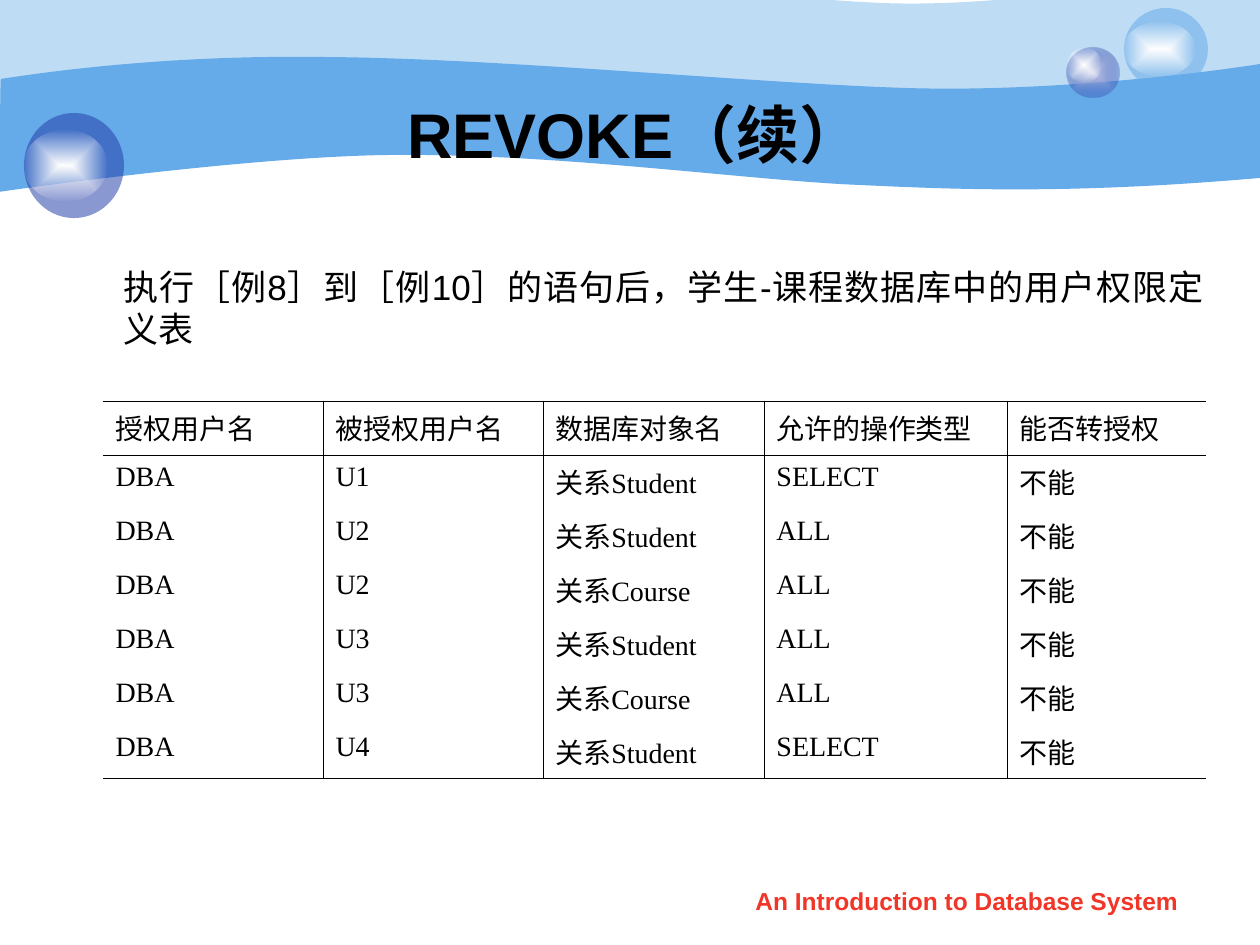
from lxml import etree
from pptx import Presentation
from pptx.dml.color import RGBColor
from pptx.enum.shapes import MSO_SHAPE
from pptx.enum.text import MSO_ANCHOR, PP_ALIGN
from pptx.oxml import parse_xml
from pptx.oxml.ns import nsdecls, qn
from pptx.util import Pt

EMU_PER_PX = 914400 / 126
BORDER_EMU = 5715
COLORS = {
    "sky": "65AAE9", "navy": "233DA9", "mist": "C6CCE8", "white": "FFFFFF",
    "sheen_edge": "FEFEFE", "black": "000000", "red": "F03628",
}
COLUMN_WIDTHS = [220, 220, 221, 243, 199]
ROWS = [
    ["授权用户名", "被授权用户名", "数据库对象名", "允许的操作类型", "能否转授权"],
    ["DBA", "U1", "关系Student", "SELECT", "不能"],
    ["DBA", "U2", "关系Student", "ALL", "不能"],
    ["DBA", "U2", "关系Course", "ALL", "不能"],
    ["DBA", "U3", "关系Student", "ALL", "不能"],
    ["DBA", "U3", "关系Course", "ALL", "不能"],
    ["DBA", "U4", "关系Student", "SELECT", "不能"],
]
# Each edge is a start point followed by Bezier control points, three per curve.
# The last curve of the lower edge runs up the left side.
BACK_WAVE = (
    [(0, 24), (30, 20), (135, 9), (311, 10), (486, 10), (724, 49), (881, 56),
     (1036, 62), (1235, 19), (1260, 0)],
    [(1260, 169), (1079, 192), (992, 184), (888, 182), (784, 179), (649, 151),
     (432, 147), (217, 142), (5, 212), (1, 217), (-1, 223), (0, 56), (0, 24)],
)
FRONT_WAVE = (
    [(3, 24), (5, 24), (141, 0), (314, 2), (488, 2), (752, 28), (907, 33),
     (1062, 38), (1232, 14), (1262, 9)],
    [(1262, 123), (1077, 139), (966, 135), (861, 130), (757, 126), (565, 99),
     (401, 100), (258, 100), (-1, 137), (1, 137), (2, 137), (2, 24), (3, 24)],
)


def px(length):
    return round(length * EMU_PER_PX)


def rgb(name):
    return RGBColor.from_string(COLORS[name])


def bend_segments(shape, edges):
    """Turn each three line segments of an edge into one cubic Bezier curve."""
    outline = next(shape._element.iter(qn("a:path")))
    # The first segment list lacks the start point, which is the moveTo.
    segments = [None] + outline.findall(qn("a:lnTo"))
    start = 0
    for edge in edges:
        for first in range(start + 1, start + len(edge), 3):
            curve = etree.Element(qn("a:cubicBezTo"))
            segments[first].addprevious(curve)
            for segment in segments[first:first + 3]:
                curve.append(segment[0])
                outline.remove(segment)
        start += len(edge)


def fill_solid(shape, color, alpha=100):
    shape.shadow.inherit = False
    shape.line.fill.background()
    shape.fill.solid()
    shape.fill.fore_color.rgb = rgb(color)
    if alpha < 100:
        target = shape._element.spPr.find(qn("a:solidFill"))[0]
        etree.SubElement(target, qn("a:alpha")).set("val", str(alpha * 1000))


def fill_glow(shape, center, edge, edge_alpha):
    """Fill with a gradient that runs from the center out to the edge."""
    fill_solid(shape, center)
    properties = shape._element.spPr
    gradient = parse_xml(
        f'<a:gradFill {nsdecls("a")} rotWithShape="1"><a:gsLst>'
        f'<a:gs pos="0"><a:srgbClr val="{COLORS[center]}"/></a:gs>'
        f'<a:gs pos="100000"><a:srgbClr val="{COLORS[edge]}">'
        f'<a:alpha val="{edge_alpha * 1000}"/></a:srgbClr></a:gs></a:gsLst>'
        '<a:path path="rect"><a:fillToRect l="50000" t="50000" r="50000" b="50000"/>'
        '</a:path></a:gradFill>')
    properties.replace(properties.find(qn("a:solidFill")), gradient)


def add_wave(page, left, top, edges, alpha=100):
    points = [(px(x), px(y)) for edge in edges for x, y in edge]
    builder = page.shapes.build_freeform(*points[0], scale=1.0)
    builder.add_line_segments(points[1:], close=False)
    wave = builder.convert_to_shape(px(left), px(top))
    bend_segments(wave, edges)
    etree.SubElement(next(wave._element.iter(qn("a:path"))), qn("a:close"))
    fill_solid(wave, "sky", alpha)


def add_ellipse(page, left, top, width, height):
    return page.shapes.add_shape(
        MSO_SHAPE.OVAL, px(left), px(top), px(width), px(height))


def add_ball(page, left, top, width, height, sheen, color=None):
    """Draw a ball with a sheen given as (drop, width, height); no color means a glow."""
    ball = add_ellipse(page, left, top, width, height)
    if color:
        fill_solid(ball, color, 53)
    else:
        fill_glow(ball, "mist", "navy", 31)
    drop, sheen_width, sheen_height = sheen
    highlight = add_ellipse(page, left, top + drop, sheen_width, sheen_height)
    fill_glow(highlight, "white", "sheen_edge", 0)


def add_backdrop(page):
    add_wave(page, 0, -53, BACK_WAVE, 41)
    add_wave(page, -2, 55, FRONT_WAVE)
    add_ball(page, 1067, 48, 53, 50, (0, 35, 34))
    add_ball(page, 1124, 8, 84, 82, (14, 71, 54), "sky")
    add_ball(page, 24, 113, 100, 105, (17, 83, 71), "navy")


def style_paragraph(paragraph, size, font="Arial", color="black", bold=False):
    paragraph.font.size = Pt(size)
    paragraph.font.name = font
    paragraph.font.bold = bold
    paragraph.font.color.rgb = rgb(color)


def add_text(page, left, top, width, height, text, size, align=PP_ALIGN.CENTER,
             anchor=MSO_ANCHOR.TOP, **style):
    box = page.shapes.add_textbox(px(left), px(top), px(width), px(height))
    box.text_frame.word_wrap = True
    box.text_frame.vertical_anchor = anchor
    paragraph = box.text_frame.paragraphs[0]
    paragraph.text = text
    paragraph.alignment = align
    style_paragraph(paragraph, size, **style)
    return box


def add_intro(page, left, top, width, height):
    box = add_text(
        page, left, top, width, height,
        "执行［例8］到［例10］的语句后，学生-课程数据库中的用户权限定义表",
        20, PP_ALIGN.JUSTIFY)
    box.text_frame.margin_top = px(14)
    box.text_frame.paragraphs[0]._p.get_or_add_pPr().set("marL", str(px(48)))


def set_borders(cell, visible_sides):
    properties = cell._tc.get_or_add_tcPr()
    for side in "LRTB":
        line = etree.SubElement(properties, qn(f"a:ln{side}"), w=str(BORDER_EMU))
        if side in visible_sides:
            fill = etree.SubElement(line, qn("a:solidFill"))
            etree.SubElement(fill, qn("a:srgbClr"), val=COLORS["black"])
        else:
            etree.SubElement(line, qn("a:noFill"))


def add_rights_table(page, left, top, row_height):
    last_row, last_column = len(ROWS) - 1, len(COLUMN_WIDTHS) - 1
    table = page.shapes.add_table(
        len(ROWS), len(COLUMN_WIDTHS), px(left), px(top),
        px(sum(COLUMN_WIDTHS)), px(row_height * len(ROWS))).table
    table.first_row = table.horz_banding = False
    for column, width in zip(table.columns, COLUMN_WIDTHS):
        column.width = px(width)
    for r, values in enumerate(ROWS):
        table.rows[r].height = px(row_height)
        for c, value in enumerate(values):
            cell = table.cell(r, c)
            cell.text = value
            style_paragraph(cell.text_frame.paragraphs[0], 16, "Times New Roman")
            shown = {"L": c > 0, "R": c < last_column,
                     "T": r <= 1, "B": r in (0, last_row)}
            set_borders(cell, [side for side, visible in shown.items() if visible])
            cell.fill.background()


def main():
    deck = Presentation()
    deck.slide_width, deck.slide_height = px(1260), px(945)
    page = deck.slides.add_slide(deck.slide_layouts[6])
    add_backdrop(page)
    add_text(page, 126, 94, 1018, 78, "REVOKE（续）", 36,
             anchor=MSO_ANCHOR.MIDDLE, bold=True)
    add_intro(page, 63, 252, 1153, 151)
    add_rights_table(page, 103, 401, 54)
    add_text(page, 719, 880, 496, 44, "An Introduction to Database System", 14,
             color="red", bold=True)
    deck.save("out.pptx")


if __name__ == "__main__":
    main()
